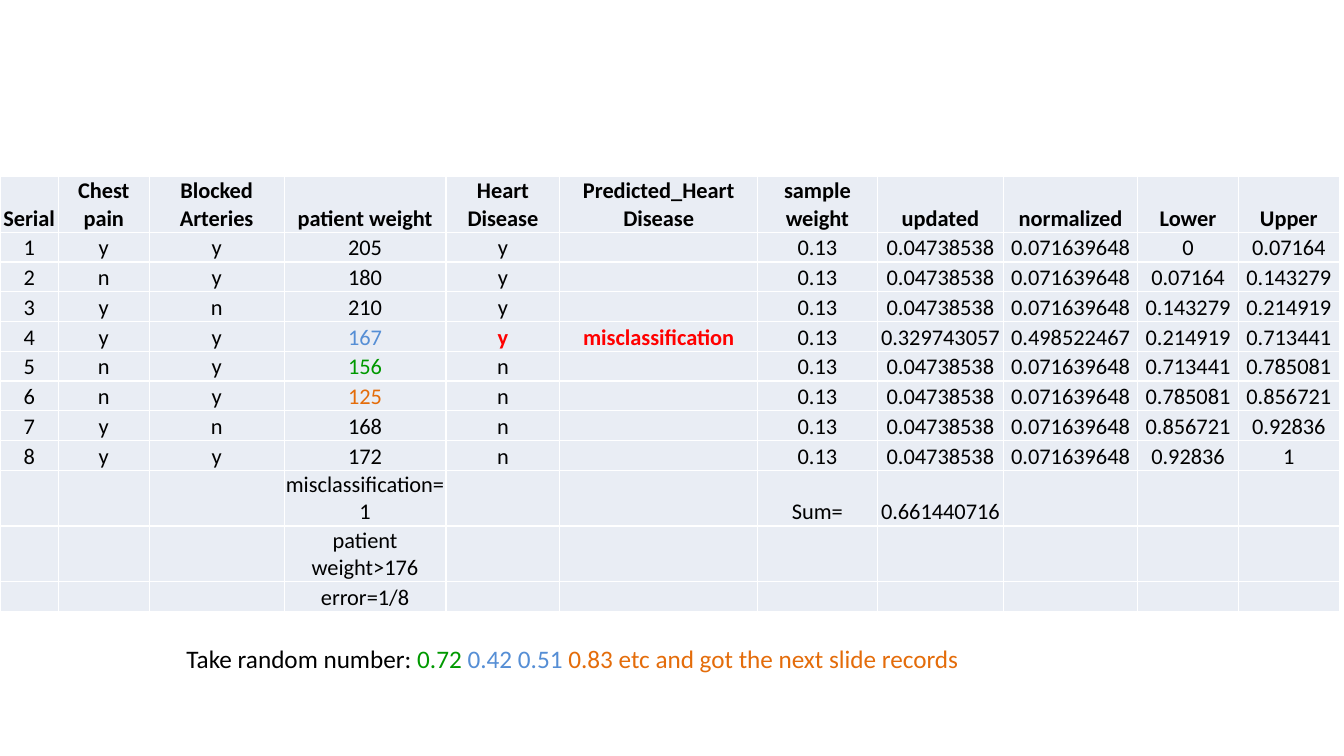
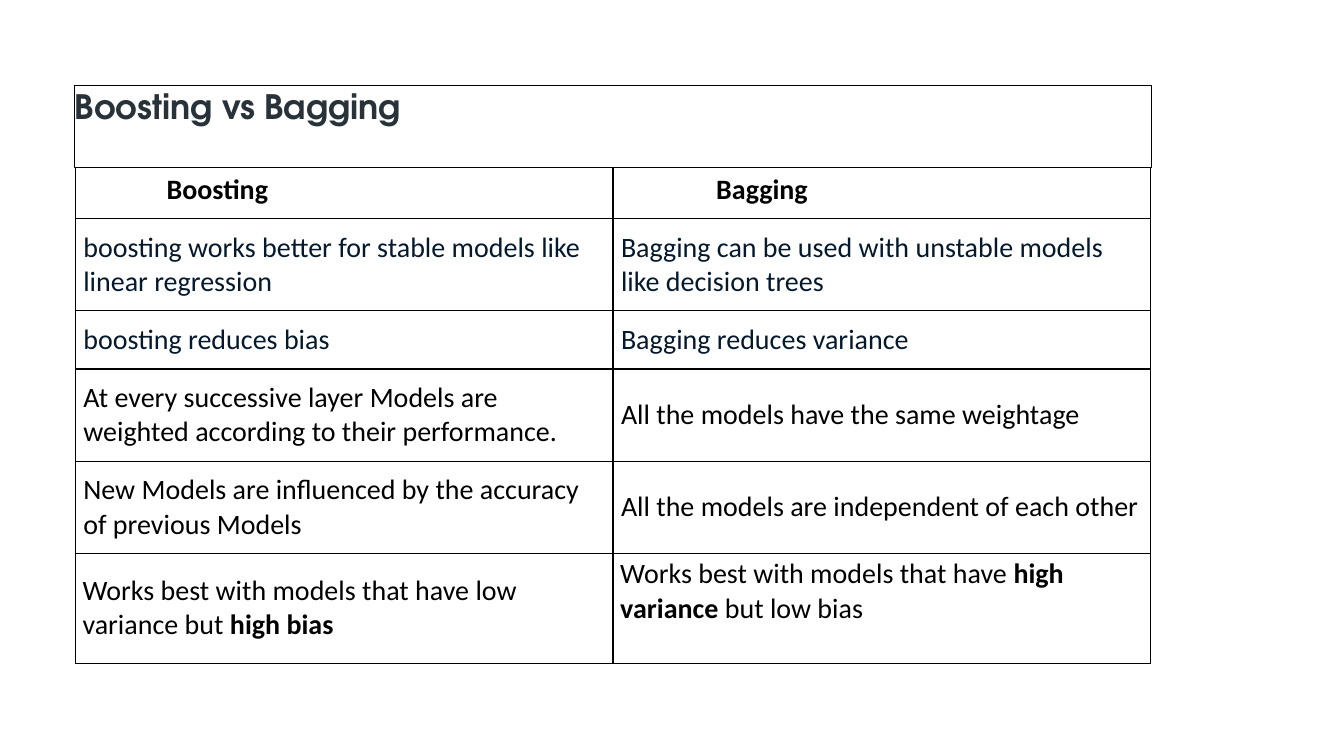
"""Build two slides: a boosting sample-weight table and a boosting/bagging comparison."""
import pptx
import pptx.util
import pptx.dml.color
import pptx.enum.shapes
import pptx.enum.text
import pptx.oxml
import pptx.oxml.ns

Cm, Pt = pptx.util.Cm, pptx.util.Pt
ANCHOR = pptx.enum.text.MSO_ANCHOR
ALIGN = pptx.enum.text.PP_ALIGN

COLORS = {
    "black": "000000", "white": "FFFFFF", "cell": "E9EDF4", "blue": "558ED5",
    "red": "FF0000", "green": "009900", "orange": "E46C0A", "navy": "05192D",
    "title": "273239",
}
BODY_FONT, TITLE_FONT = "Calibri", "TeX Gyre Adventor"

WEIGHT_COLUMNS = [
    ("Serial", 1.47), ("Chest pain", 2.29), ("Blocked Arteries", 3.4),
    ("patient weight", 4.08), ("Heart Disease", 2.87),
    ("Predicted_Heart Disease", 4.98), ("sample weight", 3.02),
    ("updated", 3.18), ("normalized", 3.38), ("Lower", 2.54), ("Upper", 2.54),
]
CORRECT = ("0.04738538", "0.071639648")
WRONG = ("0.329743057", "0.498522467")
PATIENTS = [
    ("y", "y", "205", "y", "", CORRECT),
    ("n", "y", "180", "y", "", CORRECT),
    ("y", "n", "210", "y", "", CORRECT),
    ("y", "y", "167", "y", "misclassification", WRONG),
    ("n", "y", "156", "n", "", CORRECT),
    ("n", "y", "125", "n", "", CORRECT),
    ("y", "n", "168", "n", "", CORRECT),
    ("y", "y", "172", "n", "", CORRECT),
]
BOUNDS = ["0", "0.07164", "0.143279", "0.214919", "0.713441",
          "0.785081", "0.856721", "0.92836", "1"]
SUMMARY = [
    {3: "misclassification=1", 6: "Sum=", 7: "0.661440716"},
    {3: "patient weight>176"},
    {3: "error=1/8"},
]
HIGHLIGHTS = {(4, 3): "blue", (4, 4): "red", (4, 5): "red",
              (5, 3): "green", (6, 3): "orange"}
LINE_HEIGHT, TWO_LINE_HEIGHT = 0.75, 1.4
TWO_LINE_ROWS = (0, 9, 10)

RANDOM_NUMBERS = [
    ("Take random number: ", "black"), ("0.72 ", "green"),
    ("0.42 0.51 ", "blue"), ("0.83 etc and got the next slide records", "orange"),
]

TITLE = "Boosting vs Bagging"
HEADINGS = [("Boosting", 2.3), ("Bagging", 2.6)]
COMPARISON = [
    (2.32, "navy", "boosting works better for stable models like linear regression",
     "Bagging can be used with unstable models like decision trees"),
    (1.47, "navy", "boosting reduces bias", "Bagging reduces variance"),
    (2.32, "black",
     "At every successive layer Models are weighted according to their performance.",
     "All the models have the same weightage"),
    (2.32, "black", "New Models are influenced by the accuracy of previous Models",
     "All the models are independent of each other"),
]
BEST_WITH = [
    [("Works best with models that have low variance but ", False), ("high bias", True)],
    [("Works best with models that have ", False), ("high variance ", True),
     ("but low bias", False)],
]


def rgb(name):
    return pptx.dml.color.RGBColor.from_string(COLORS[name])


def style(p, size, color="black", bold=False, font=BODY_FONT):
    p.font.name, p.font.size, p.font.bold = font, Pt(size), bold
    p.font.color.rgb = rgb(color)


def add_grid(s, left, top, widths, heights, border):
    table = s.shapes.add_table(len(heights), len(widths), Cm(left), Cm(top),
                               Cm(sum(widths)), Cm(sum(heights))).table
    table.first_row = table.horz_banding = False
    for column, width in zip(table.columns, widths):
        column.width = Cm(width)
    for row, height in zip(table.rows, heights):
        row.height = Cm(height)
    for cell in table.iter_cells():
        tc_pr = cell._tc.get_or_add_tcPr()
        for side in ("lnL", "lnR", "lnT", "lnB"):
            tc_pr.append(pptx.oxml.parse_xml(
                f'<a:{side} {pptx.oxml.ns.nsdecls("a")} w="{Pt(1)}"><a:solidFill>'
                f'<a:srgbClr val="{COLORS[border]}"/></a:solidFill></a:{side}>'))
    return table


def set_margins(cell, across, above, below):
    cell.margin_left = cell.margin_right = Cm(across)
    cell.margin_top, cell.margin_bottom = Cm(above), Cm(below)


def weights_slide(s):
    rows = [[name for name, _ in WEIGHT_COLUMNS]]
    for i, (*facts, weights) in enumerate(PATIENTS):
        rows.append([str(i + 1), *facts, "0.13", *weights, BOUNDS[i], BOUNDS[i + 1]])
    rows += [[line.get(c, "") for c in range(len(WEIGHT_COLUMNS))] for line in SUMMARY]
    heights = [TWO_LINE_HEIGHT if r in TWO_LINE_ROWS else LINE_HEIGHT
               for r in range(len(rows))]
    table = add_grid(s, 0, 4.45, [w for _, w in WEIGHT_COLUMNS], heights, "white")
    for r, row in enumerate(rows):
        for c, text in enumerate(row):
            cell = table.cell(r, c)
            cell.fill.solid()
            cell.fill.fore_color.rgb = rgb("cell")
            cell.vertical_anchor = ANCHOR.BOTTOM
            set_margins(cell, 0.02, 0.02, 0)
            color = HIGHLIGHTS.get((r, c), "black")
            p = cell.text_frame.paragraphs[0]
            p.alignment = ALIGN.CENTER
            style(p, 16, color, r == 0 or color == "red")
            if text:
                p.add_run().text = text
            else:
                p._p.get_or_add_endParaRPr().set("sz", "1600")

    tf = s.shapes.add_textbox(Cm(4.45), Cm(16.08), Cm(26.04), Cm(1.03)).text_frame
    tf.word_wrap = True
    p = tf.paragraphs[0]
    style(p, 18)
    for text, color in RANDOM_NUMBERS:
        r = p.add_run()
        r.text = text
        r.font.color.rgb = rgb(color)


def comparison_slide(s):
    heights = [1.47, *(height for height, *_ in COMPARISON), 2.77]
    table = add_grid(s, 1.9, 4.04, [13.55, 13.55], heights, "black")
    for cell in table.iter_cells():
        cell.fill.background()
        cell.vertical_anchor = ANCHOR.MIDDLE
        set_margins(cell, 0.2, 0.3, 0.3)

    for c, (text, indent) in enumerate(HEADINGS):
        cell = table.cell(0, c)
        cell.text = text
        cell.margin_left = Cm(indent)
        style(cell.text_frame.paragraphs[0], 20, bold=True)
    for i, (_, color, *texts) in enumerate(COMPARISON, 1):
        for c, text in enumerate(texts):
            cell = table.cell(i, c)
            cell.text = text
            style(cell.text_frame.paragraphs[0], 20, color)
    last = len(heights) - 1
    for c, runs in enumerate(BEST_WITH):
        cell = table.cell(last, c)
        set_margins(cell, 0.18, 0.1, 0.1)
        p = cell.text_frame.paragraphs[0]
        style(p, 20)
        for text, bold in runs:
            r = p.add_run()
            r.text, r.font.bold = text, bold
    table.cell(last, 1).vertical_anchor = ANCHOR.TOP

    sp = s.shapes.add_shape(pptx.enum.shapes.MSO_SHAPE.RECTANGLE,
                            Cm(1.88), Cm(2.16), Cm(27.13), Cm(2.06))
    sp.shadow.inherit = False
    sp.fill.solid()
    sp.fill.fore_color.rgb = rgb("white")
    sp.line.color.rgb = rgb("black")
    sp.line.width = Pt(0.75)
    tf = sp.text_frame
    tf.word_wrap = True
    tf.vertical_anchor = ANCHOR.TOP
    tf.margin_left = tf.margin_right = tf.margin_top = tf.margin_bottom = 0
    p = tf.paragraphs[0]
    p.alignment = ALIGN.LEFT
    p.add_run().text = TITLE
    style(p, 24, "title", True, TITLE_FONT)


def main():
    prs = pptx.Presentation()
    prs.slide_width, prs.slide_height = Cm(33.87), Cm(19.05)
    for build in (weights_slide, comparison_slide):
        build(prs.slides.add_slide(prs.slide_layouts[6]))
    prs.save("out.pptx")


if __name__ == "__main__":
    main()
